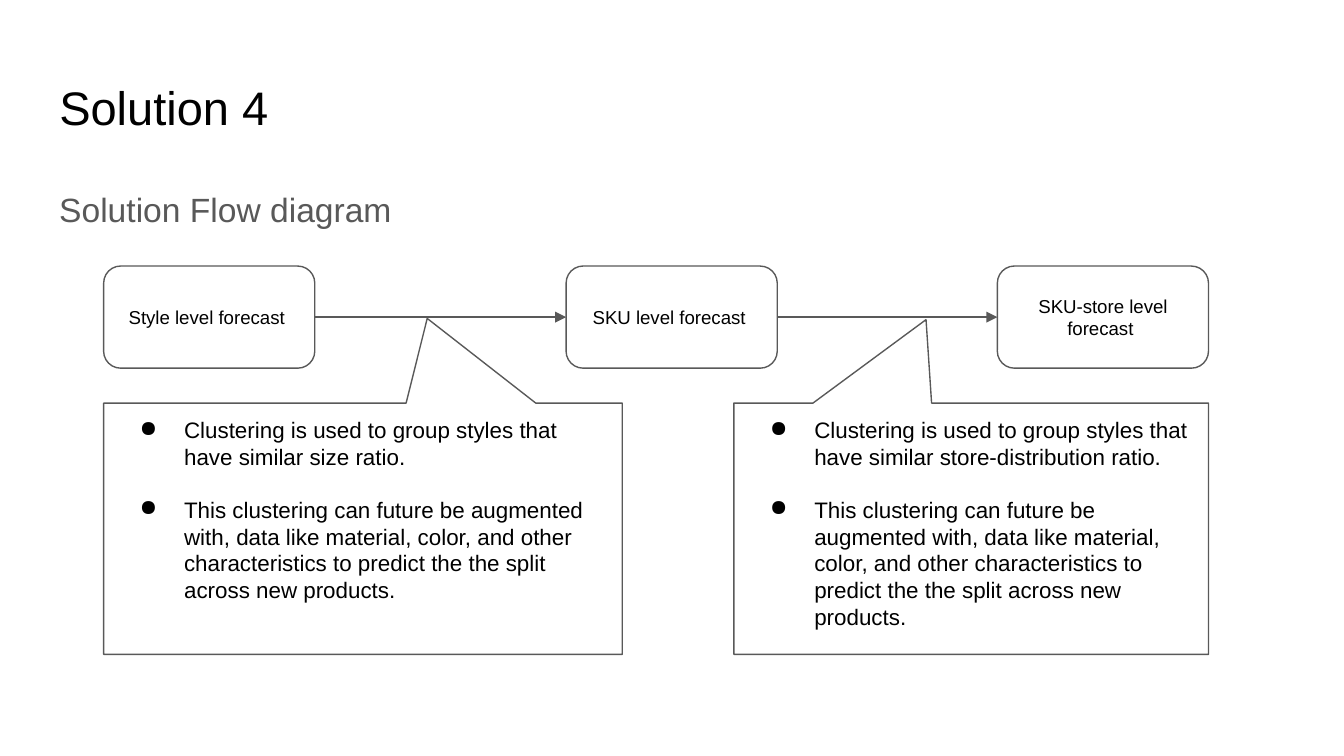
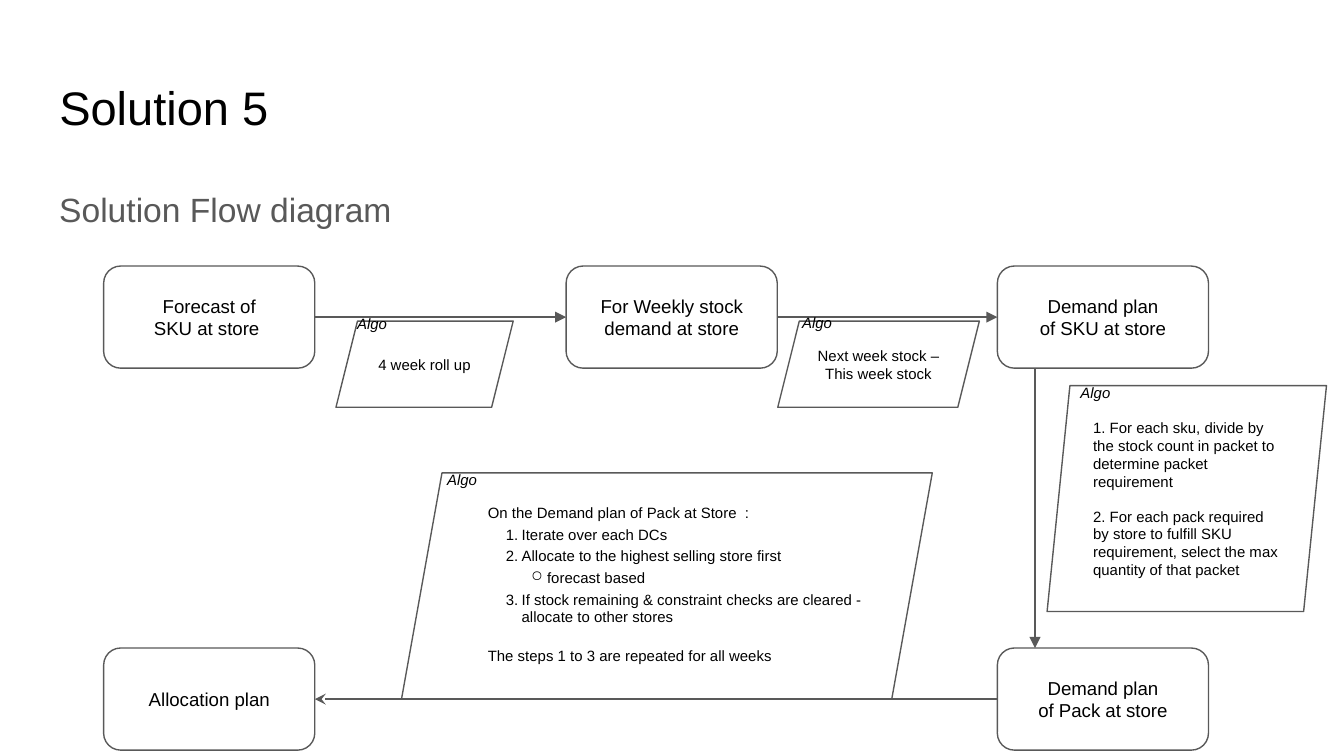
from pptx import Presentation
from pptx.dml.color import RGBColor
from pptx.enum import shapes, text
from pptx.oxml import parse_xml
from pptx.oxml.ns import nsdecls
from pptx.util import Cm, Pt

BLACK = RGBColor(0, 0, 0)
GREY = RGBColor(0x59, 0x59, 0x59)
FONT = "Arial"
KIND = shapes.MSO_SHAPE
MID, TOP = text.MSO_ANCHOR.MIDDLE, text.MSO_ANCHOR.TOP
LEFT, CENTER = text.PP_ALIGN.LEFT, text.PP_ALIGN.CENTER

PAD = 0.25
COLS = (1.96, 10.7, 18.85)
ROWS = (5.03, 12.25)
BOX = (3.99, 1.93)
DROP = 19.56

# kind: left margin, hanging indent, level, bullet tag
MARKS = {
    "dot": (1.27, -0.84, 0, 'buChar {} char="●"'),
    "num": (0.64, -0.3, 0, 'buAutoNum {} type="arabicPeriod"'),
    "ring": (1.12, -0.3, 1, 'buChar {} char="○"'),
}

PLANS = [
    {
        "title": "Solution 4",
        "boxes": [
            (0, 0, ["Style level forecast "]),
            (1, 0, ["SKU level forecast "]),
            (2, 0, ["SKU-store level forecast "]),
        ],
        "calls": [
            ((1.96, 7.62, 9.8, 4.75), (0.124, -0.837), "size ratio."),
            ((13.87, 7.62, 8.97, 4.75), (-0.095, -0.832), "store-distribution ratio."),
        ],
    },
    {
        "title": "Solution 5",
        "boxes": [
            (0, 0, ["Forecast of", "SKU at store "]),
            (1, 0, ["For Weekly stock demand at store"]),
            (2, 0, ["Demand plan", "of SKU at store"]),
            (0, 1, ["Allocation plan"]),
            (2, 1, ["Demand plan", "of Pack at store"]),
        ],
        "algos": [
            ((7.59, 8.94, 10.03, 4.27), 0.179, (8.2, 8.74), LEFT, []),
            ((6.35, 6.07, 3.35, 1.63), 0.25, (6.5, 5.79), CENTER, ["4 week roll up"]),
            ((14.7, 6.07, 3.81, 1.63), 0.25, (14.91, 5.77), CENTER,
             ["Next week stock –", "This week stock"]),
            ((19.79, 7.29, 5.28, 4.27), 0.101, (20.17, 7.09), LEFT, [
                "1. For each sku, divide by the stock count in packet to determine "
                "packet requirement",
                ("2. For each pack required by store to fulfill SKU requirement, "
                 "select the max quantity of that packet", None, 9.2),
            ]),
        ],
        "steps": [
            ("On the Demand plan of Pack at Store  :", None, 2),
            ("Iterate over each DCs", "num", 2),
            ("Allocate to the highest selling store first", "num", 2),
            ("forecast based", "ring", 2),
            ("If stock remaining & constraint checks are cleared - "
             "allocate to other stores", "num", 2),
            ("The steps 1 to 3 are repeated for all weeks", None, 11.2),
        ],
    },
]


def mark(para, kind):
    """Give a paragraph its bullet or number."""
    left, hang, level, tag = MARKS[kind]
    para.level = level
    props = para._p.get_or_add_pPr()
    props.set("marL", str(Cm(left)))
    props.set("indent", str(Cm(hang)))
    ns = nsdecls("a")
    props.append(parse_xml(f'<a:buClr {ns}><a:srgbClr val="{BLACK}"/></a:buClr>'))
    props.append(parse_xml(f"<a:{tag.format(ns)}/>"))


def write(shape, items, size, color=BLACK, align=LEFT, anchor=TOP, italic=False, top=PAD):
    """Fill a shape with paragraphs, each plain text or (text, kind, space before)."""
    frame = shape.text_frame
    frame.word_wrap = True
    frame.auto_size = text.MSO_AUTO_SIZE.NONE
    frame.vertical_anchor = anchor
    frame.margin_left = frame.margin_right = frame.margin_bottom = Cm(PAD)
    frame.margin_top = Cm(top)
    for i, item in enumerate(items):
        words, kind, gap = (item, None, 0) if isinstance(item, str) else item
        para = frame.add_paragraph() if i else frame.paragraphs[0]
        para.alignment = align
        para.space_before = Pt(gap)
        if kind:
            mark(para, kind)
        run = para.add_run()
        run.text = words
        font = run.font
        font.name, font.size, font.italic = FONT, Pt(size), italic
        font.color.rgb = color


def place(slide, kind, area, adjs=()):
    """Add an outlined shape without fill."""
    shape = slide.shapes.add_shape(kind, *map(Cm, area))
    shape.shadow.inherit = False
    shape.fill.background()
    shape.line.color.rgb = GREY
    shape.line.width = Pt(0.75)
    for i, adj in enumerate(adjs):
        shape.adjustments[i] = adj
    return shape


def label(slide, area, items, size, **style):
    """Add a text box."""
    box = slide.shapes.add_textbox(*map(Cm, area))
    write(box, items, size, **style)
    return box


def arrow(slide, ends=(0, 0, 0, 0), pair=None, tip="tailEnd", form="triangle"):
    """Draw an arrow between two points, or from one box's right to the next one's left."""
    line = slide.shapes.add_connector(shapes.MSO_CONNECTOR.STRAIGHT, *map(Cm, ends))
    if pair:
        line.begin_connect(pair[0], 3)
        line.end_connect(pair[1], 1)
    line.line.color.rgb = GREY
    line.line.width = Pt(0.75)
    ns = nsdecls("a")
    line.line._get_or_add_ln().append(parse_xml(f'<a:{tip} {ns} type="{form}"/>'))
    line._element.spPr.append(parse_xml(f"<a:effectLst {ns}/>"))


def build(deck, plan):
    """Build one flow slide."""
    slide = deck.slides.add_slide(deck.slide_layouts[5])
    title = slide.shapes.title
    title.left, title.top, title.width, title.height = map(Cm, (0.87, 1.24, 23.67, 1.6))
    write(title, [plan["title"]], 25.2)
    sub = label(slide, (0.87, 3.2, 23.67, 1.6), ["Solution Flow diagram"], 18, color=GREY)
    sub.text_frame.paragraphs[0].line_spacing = 1.15
    sub.text_frame.paragraphs[0].space_after = Pt(12)

    nodes = {}
    for col, row, items in plan["boxes"]:
        node = place(slide, KIND.ROUNDED_RECTANGLE, (COLS[col], ROWS[row], *BOX))
        write(node, items, 10, align=CENTER, anchor=MID)
        nodes[col, row] = node
    for col in (0, 1):
        arrow(slide, pair=(nodes[col, 0], nodes[col + 1, 0]))
    if (2, 1) in nodes:
        arrow(slide, pair=(nodes[0, 1], nodes[2, 1]), tip="headEnd", form="stealth")
        arrow(slide, (DROP, ROWS[0] + BOX[1], DROP, ROWS[1]))

    for area, adjs, ratio in plan.get("calls", []):
        call = place(slide, KIND.RECTANGULAR_CALLOUT, area, adjs)
        write(call, [
            (f"Clustering is used to group styles that have similar {ratio}", "dot", 0),
            ("This clustering can future be augmented with, data like material, color, "
             "and other characteristics to predict the the split across new products.",
             "dot", 13.8),
        ], 12)

    for area, adj, spot, align, items in plan.get("algos", []):
        algo = place(slide, KIND.PARALLELOGRAM, area, [adj])
        if items:
            write(algo, items, 8, align=align, anchor=MID)
        label(slide, (*spot, 1.98, 0.33), ["Algo"], 8, italic=True)
    if "steps" in plan:
        label(slide, (8.97, 8.94, 8.51, 4.65), plan["steps"], 8, top=0.58)


def main():
    """Build and save the deck."""
    deck = Presentation()
    deck.slide_width, deck.slide_height = Cm(25.4), Cm(14.29)
    for plan in PLANS:
        build(deck, plan)
    deck.save("out.pptx")


if __name__ == "__main__":
    main()
